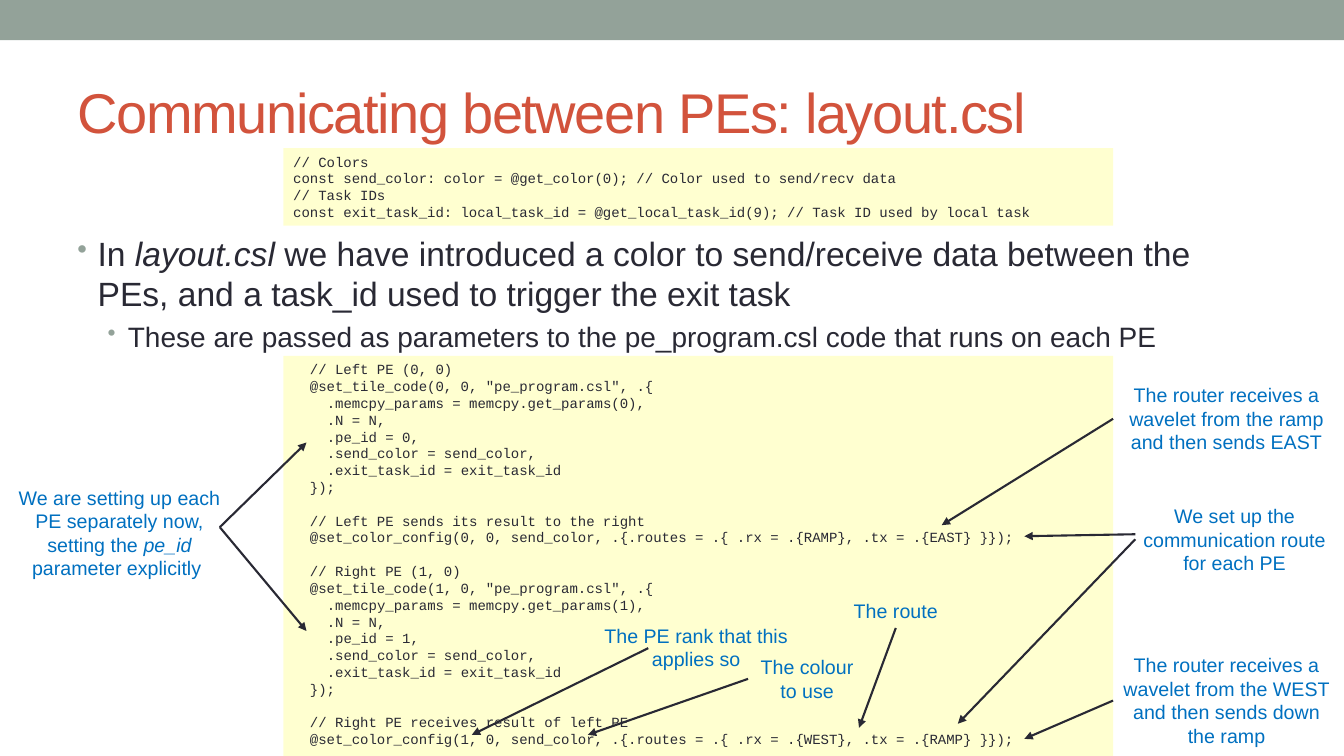
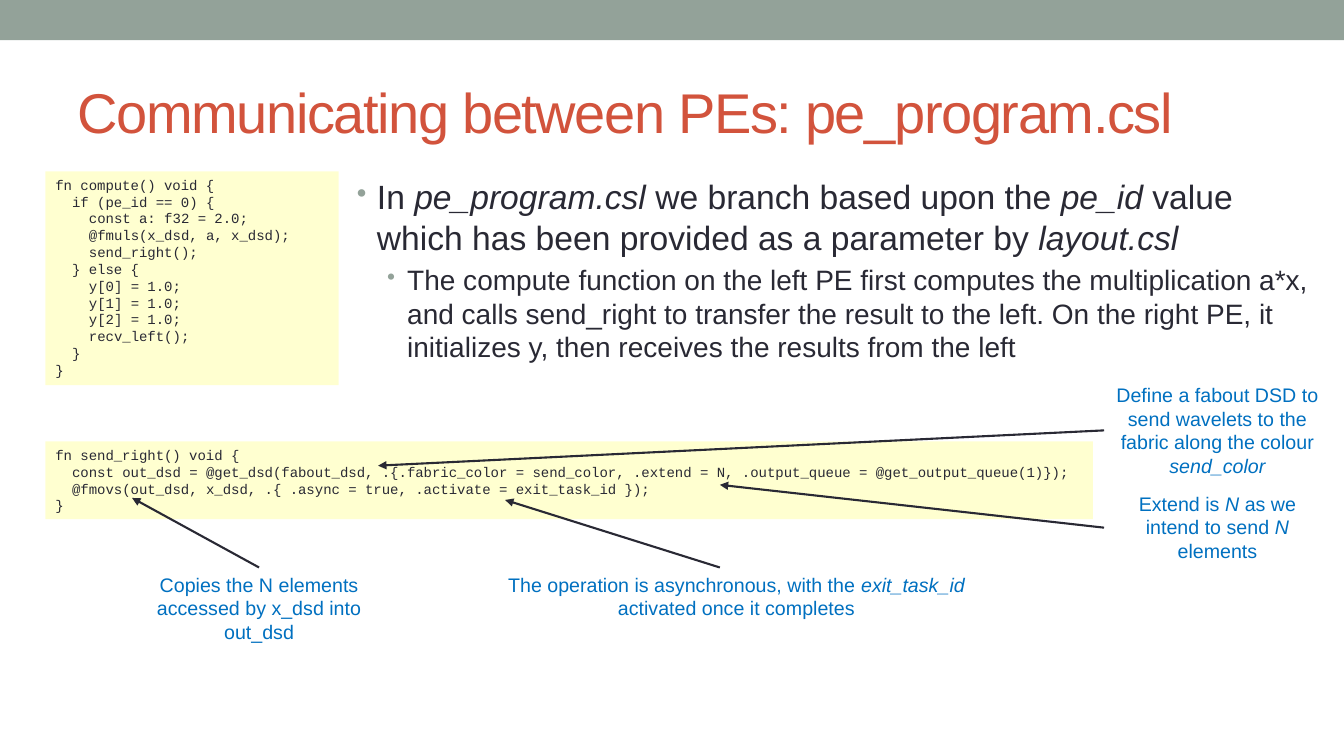
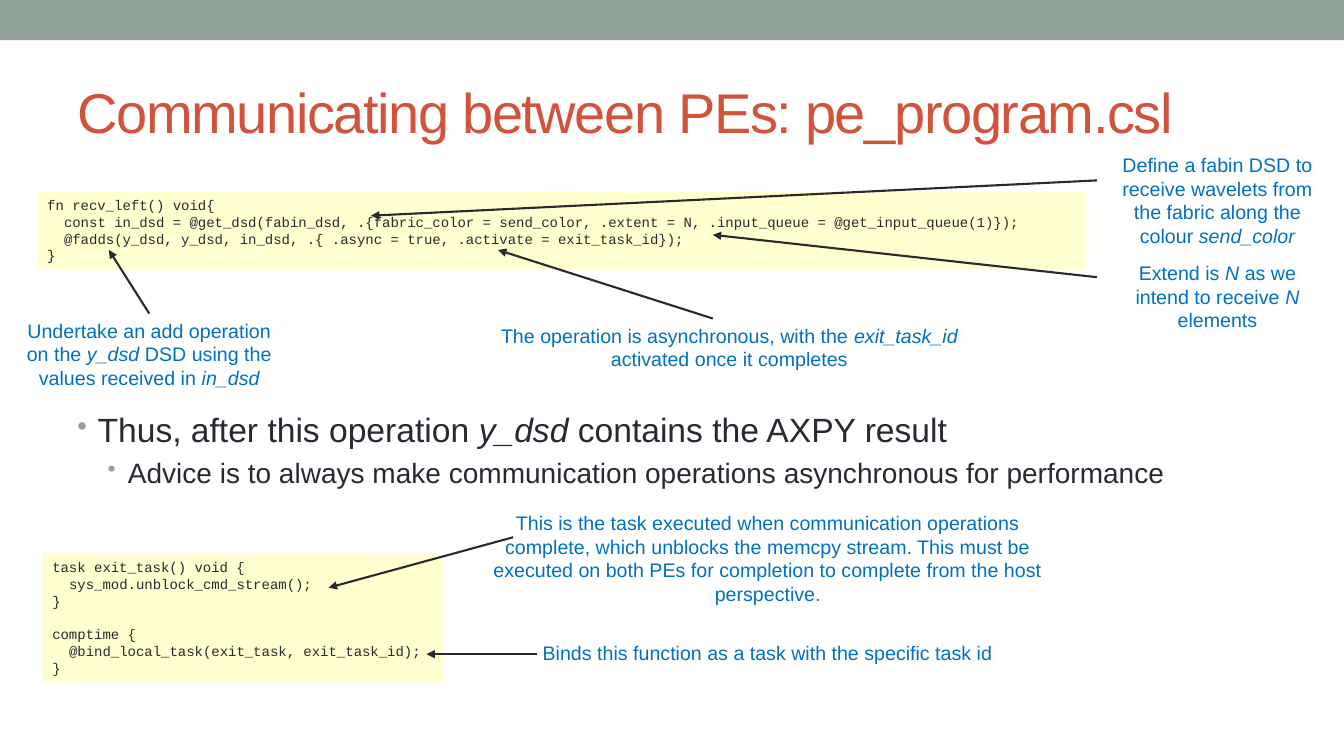
from pptx import Presentation
from pptx.dml.color import RGBColor
from pptx.enum.shapes import MSO_CONNECTOR, MSO_SHAPE
from pptx.enum.text import MSO_ANCHOR, MSO_AUTO_SIZE, PP_ALIGN
from pptx.oxml.ns import qn
from pptx.util import Inches, Pt
from lxml.etree import SubElement

COLORS = {
    "band": "93A299",
    "title": "D2533C",
    "text": "292934",
    "code": "FFFF66",
    "note": "0070C0",
}
SANS, MONO = "Arial", "Courier New"
CODE_SIZE = 10
CODE_LINE = 12
CODE_CHAR = 6  # advance of one monospaced character, in points
TOP, LEFT = 0, 1  # connection sites
BOTTOM = 2

COLOR_CODE = """\
// Colors
const send_color: color = @get_color(0); // Color used to send/recv data
// Task IDs
const exit_task_id: local_task_id = @get_local_task_id(9); // Task ID used by local task"""

TILE_CODE = """\
  // {side} PE ({rank}, 0)
  @set_tile_code({rank}, 0, "pe_program.csl", .{{
    .memcpy_params = memcpy.get_params({rank}),
    .N = N,
    .pe_id = {rank},
    .send_color = send_color,
    .exit_task_id = exit_task_id
  }});

  // {action}
  @set_color_config({rank}, 0, send_color, .{{.routes = .{{ .rx = .{{{rx}}}, .tx = .{{{tx}}} }}}});"""

LAYOUT_CODE = "\n\n".join([
    TILE_CODE.format(side="Left", rank=0, rx="RAMP", tx="EAST",
                     action="Left PE sends its result to the right"),
    TILE_CODE.format(side="Right", rank=1, rx="WEST", tx="RAMP",
                     action="Right PE receives result of left PE"),
])

COMPUTE_CODE = """\
fn compute() void {
  if (pe_id == 0) {
    const a: f32 = 2.0;
    @fmuls(x_dsd, a, x_dsd);
    send_right();
  } else {
    y[0] = 1.0;
    y[1] = 1.0;
    y[2] = 1.0;
    recv_left();
  }
}"""

SEND_CODE = """\
fn send_right() void {
  const out_dsd = @get_dsd(fabout_dsd, .{.fabric_color = send_color, .extend = N, .output_queue = @get_output_queue(1)});
  @fmovs(out_dsd, x_dsd, .{ .async = true, .activate = exit_task_id });
}"""

RECEIVE_CODE = """\
fn recv_left() void{
  const in_dsd = @get_dsd(fabin_dsd, .{fabric_color = send_color, .extent = N, .input_queue = @get_input_queue(1)});
  @fadds(y_dsd, y_dsd, in_dsd, .{ .async = true, .activate = exit_task_id});
}"""

EXIT_CODE = """\
task exit_task() void {
  sys_mod.unblock_cmd_stream();
}

comptime {
  @bind_local_task(exit_task, exit_task_id);
}"""

ASYNC_NOTE = ("The operation is asynchronous, with the |exit_task_id |"
              "activated once it completes")


def rgb(name):
    return RGBColor.from_string(COLORS[name])


def inches(values):
    return [Inches(value) for value in values]


def set_font(paragraph, name, size, color):
    font = paragraph.font
    font.name, font.size = name, Pt(size)
    font.color.rgb = rgb(color)


def add_marked_text(paragraph, text):
    """Add runs; the parts between | marks are italic."""
    for index, part in enumerate(text.split("|")):
        if part:
            run = paragraph.add_run()
            run.text = part
            if index % 2:
                run.font.italic = True


def add_rectangle(slide, place, color):
    rectangle = slide.shapes.add_shape(MSO_SHAPE.RECTANGLE, *inches(place))
    rectangle.shadow.inherit = False
    rectangle.fill.solid()
    rectangle.fill.fore_color.rgb = rgb(color)
    rectangle.line.fill.background()
    return rectangle


def add_text_frame(slide, place):
    box = slide.shapes.add_textbox(*inches(place))
    box.text_frame.word_wrap = True
    return box, box.text_frame


def add_titled_slide(deck, title):
    slide = deck.slides.add_slide(deck.slide_layouts[6])
    add_rectangle(slide, (0, 0, 13.33, 0.4), "band")
    _, frame = add_text_frame(slide, (0.67, 0.58, 12, 1.04))
    frame.vertical_anchor = MSO_ANCHOR.MIDDLE
    paragraph = frame.paragraphs[0]
    add_marked_text(paragraph, title)
    set_font(paragraph, SANS, 40, "title")
    paragraph.runs[0].font._element.set("spc", "-100")
    return slide


def add_bullets(slide, place, point, detail):
    _, frame = add_text_frame(slide, place)
    levels = [(point, 24, 0.2), (detail, 20, 0.5)]
    for level, (text, size, indent) in enumerate(levels):
        paragraph = frame.add_paragraph() if level else frame.paragraphs[0]
        paragraph.level = level
        paragraph.space_before = Pt(size * 0.2)
        properties = paragraph._p.get_or_add_pPr()
        properties.set("marL", str(Inches(indent)))
        properties.set("indent", str(Inches(-0.2)))
        bullet_color = SubElement(properties, qn("a:buClr"))
        SubElement(bullet_color, qn("a:srgbClr"), val=COLORS["band"])
        SubElement(properties, qn("a:buSzPct"), val="85000")
        SubElement(properties, qn("a:buChar"), char="•")
        add_marked_text(paragraph, text)
        set_font(paragraph, SANS, size, "text")


def add_code(slide, place, code):
    """Add a code panel; indents and empty lines become paragraph spacing."""
    panel = add_rectangle(slide, place, "code")
    fill_color = panel.fill._xPr.find(qn("a:solidFill")).find(qn("a:srgbClr"))
    SubElement(fill_color, qn("a:alpha"), val="30000")
    frame = panel.text_frame
    frame.word_wrap = True
    frame.auto_size = MSO_AUTO_SIZE.SHAPE_TO_FIT_TEXT
    frame.vertical_anchor = MSO_ANCHOR.TOP
    paragraph, gap = frame.paragraphs[0], 0
    for number, line in enumerate(code.split("\n")):
        statement = line.lstrip()
        if not statement:
            gap += CODE_LINE
            continue
        if number:
            paragraph = frame.add_paragraph()
        paragraph.text = statement
        paragraph.alignment = PP_ALIGN.LEFT
        if gap:
            paragraph.space_before = Pt(gap)
            gap = 0
        indent = (len(line) - len(statement)) * CODE_CHAR
        paragraph._p.get_or_add_pPr().set("marL", str(Pt(indent)))
        set_font(paragraph, MONO, CODE_SIZE, "text")


def add_note(slide, place, text, *arrows):
    """Add a note and its arrows, each from a side of the note or a point to a tip."""
    note, frame = add_text_frame(slide, place)
    frame.auto_size = MSO_AUTO_SIZE.SHAPE_TO_FIT_TEXT
    paragraph = frame.paragraphs[0]
    paragraph.alignment = PP_ALIGN.CENTER
    add_marked_text(paragraph, text)
    set_font(paragraph, SANS, 14, "note")
    for start, tip in arrows:
        add_arrow(slide, note, start, tip)


def add_arrow(slide, note, start, tip):
    joined = isinstance(start, int)
    origin = tip if joined else start
    arrow = slide.shapes.add_connector(
        MSO_CONNECTOR.STRAIGHT, *inches(origin), *inches(tip))
    if joined:
        arrow.begin_connect(note, start)
    arrow.line.color.rgb = rgb("text")
    arrow.line.width = Pt(1.5)
    SubElement(arrow.line._get_or_add_ln(), qn("a:tailEnd"), type="triangle")
    SubElement(arrow._element.spPr, qn("a:effectLst"))


def build_layout_slide(deck):
    slide = add_titled_slide(deck, "Communicating between PEs: layout.csl")
    add_bullets(
        slide, (0.67, 2.26, 12, 1.49),
        "In |layout.csl |we have introduced a color to send/receive data "
        "between the PEs, and a task_id used to trigger the exit task",
        "These are passed as parameters to the pe_program.csl code that runs on each PE")
    add_code(slide, (2.81, 1.47, 8.23, 0.77), COLOR_CODE)
    add_code(slide, (2.81, 3.53, 8.23, 3.97), LAYOUT_CODE)
    add_note(slide, (0.06, 4.77, 2.25, 1.04),
             "We are setting up each PE separately now, setting the |pe_id |"
             "parameter explicitly ",
             ((2.18, 5.23), (3.04, 4.39)), ((2.18, 5.23), (3.04, 6.26)))
    add_note(slide, (11.12, 4.95, 2.25, 0.81),
             "We set up the communication route for each PE",
             ((11.26, 5.3), (10.16, 5.32)), ((11.26, 5.35), (9.5, 7.18)))
    add_note(slide, (5.78, 6.14, 2.25, 0.57), "The PE rank that this applies so",
             ((6.43, 6.43), (4.68, 7.29)))
    add_note(slide, (7.42, 6.45, 1.17, 0.57), "The colour to use",
             (LEFT, (5.83, 7.29)))
    add_note(slide, (8.3, 5.89, 1.17, 0.34), "The route", (BOTTOM, (8.52, 7.22)))
    add_note(slide, (11.04, 6.43, 2.25, 1.04),
             "The router receives a wavelet from the WEST and then sends down the ramp",
             (LEFT, (10.16, 7.33)))
    add_note(slide, (11.04, 3.75, 2.25, 0.81),
             "The router receives a wavelet from the ramp and then sends EAST",
             (LEFT, (9.34, 5.21)))


def build_send_slide(deck):
    slide = add_titled_slide(deck, "Communicating between PEs: pe_program.csl")
    add_code(slide, (0.45, 1.7, 2.91, 2.12), COMPUTE_CODE)
    add_bullets(
        slide, (3.44, 1.7, 9.69, 2.12),
        "In |pe_program.csl |we branch based upon the |pe_id |value which has "
        "been provided as a parameter by |layout.csl|",
        "The compute function on the left PE first computes the multiplication "
        "a*x, and calls send_right to transfer the result to the left. On the "
        "right PE, it initializes y, then receives the results from the left")
    add_code(slide, (0.45, 4.38, 10.39, 0.77), SEND_CODE)
    add_note(slide, (10.95, 3.75, 2.25, 1.04),
             "Define a fabout DSD to send wavelets to the fabric along the colour "
             "|send_color|",
             (LEFT, (3.75, 4.62)))
    add_note(slide, (10.95, 4.83, 2.25, 0.81),
             "Extend is |N |as we intend to send |N| elements",
             (LEFT, (7.14, 4.81)))
    add_note(slide, (1.21, 5.63, 2.72, 0.81),
             "Copies the N elements accessed by x_dsd into out_dsd",
             (TOP, (1.31, 4.94)))
    add_note(slide, (4.64, 5.63, 5.33, 0.57), ASYNC_NOTE,
             ((7.14, 5.63), (5.01, 4.96)))


def build_receive_slide(deck):
    slide = add_titled_slide(deck, "Communicating between PEs: pe_program.csl")
    add_code(slide, (0.37, 1.9, 10.39, 0.77), RECEIVE_CODE)
    add_note(slide, (0.12, 3.11, 2.72, 0.81),
             "Undertake an add operation on the |y_dsd |DSD using the values "
             "received in |in_dsd|",
             (TOP, (1.08, 2.48)))
    add_note(slide, (10.95, 1.47, 2.25, 1.04),
             "Define a fabin DSD to receive wavelets from the fabric along the "
             "colour |send_color|",
             ((10.88, 1.79), (3.68, 2.14)))
    add_note(slide, (10.95, 2.54, 2.25, 0.81),
             "Extend is |N |as we intend to receive |N| elements",
             ((10.88, 2.75), (7.07, 2.33)))
    add_note(slide, (4.57, 3.16, 5.33, 0.57), ASYNC_NOTE,
             ((7.07, 3.16), (4.94, 2.48)))
    add_bullets(
        slide, (0.67, 4.01, 12.32, 1.04),
        "Thus, after this operation |y_dsd |contains the AXPY result",
        "Advice is to always make communication operations asynchronous for performance")
    add_code(slide, (0.42, 5.49, 3.98, 1.28), EXIT_CODE)
    add_note(slide, (4.7, 5.02, 5.83, 1.04),
             "This is the task executed when communication operations complete, "
             "which unblocks the memcpy stream. This must be executed on both PEs "
             "for completion to complete from the host perspective.",
             ((5.09, 5.33), (3.26, 5.83)))
    add_note(slide, (4.7, 6.31, 5.83, 0.34),
             "Binds this function as a task with the specific task id",
             ((5.33, 6.49), (4.23, 6.49)))


def main():
    deck = Presentation()
    deck.slide_width, deck.slide_height = inches((13.33, 7.5))
    build_layout_slide(deck)
    build_send_slide(deck)
    build_receive_slide(deck)
    deck.save("out.pptx")


if __name__ == "__main__":
    main()
